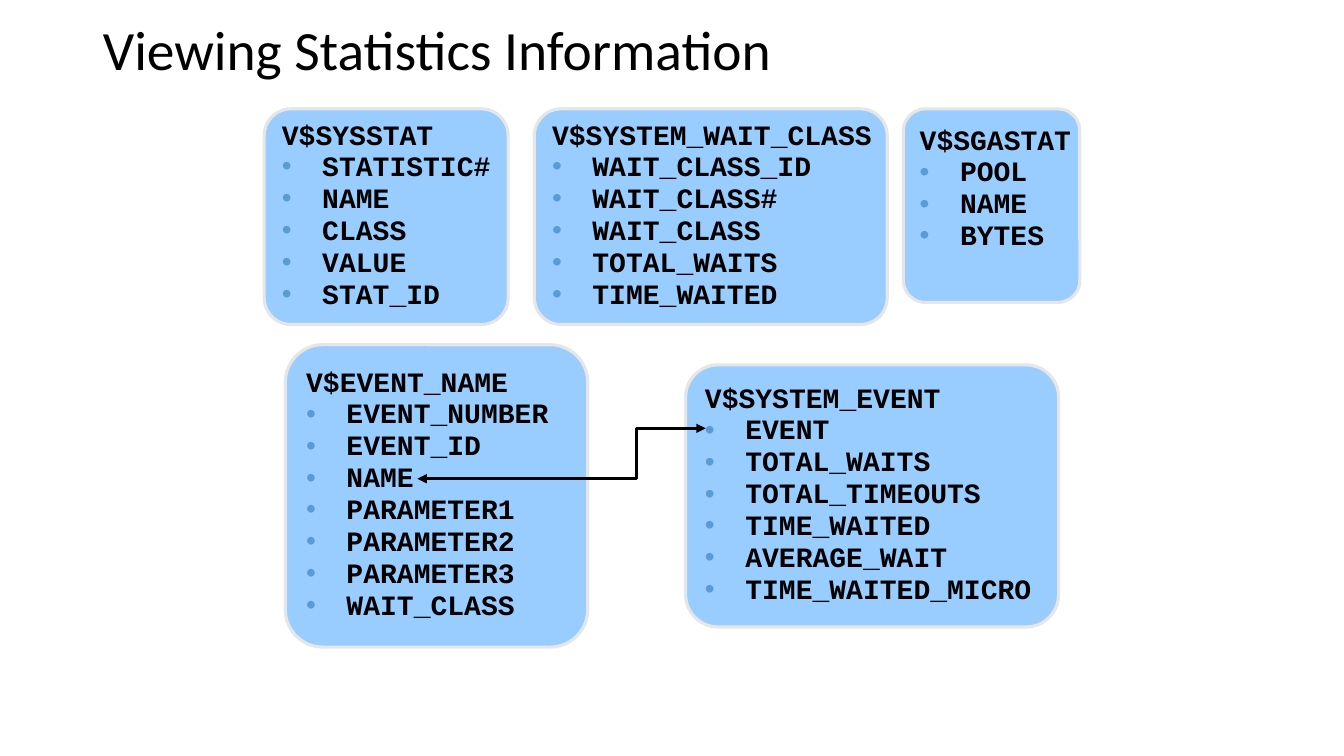
from lxml.etree import SubElement
from pptx import Presentation
from pptx.dml.color import RGBColor
from pptx.enum.shapes import MSO_SHAPE
from pptx.enum.text import MSO_ANCHOR, PP_ALIGN
from pptx.oxml.ns import qn
from pptx.util import Inches, Pt

BLACK = RGBColor(0x00, 0x00, 0x00)
SKY = RGBColor(0x99, 0xCC, 0xFF)
EDGE = RGBColor(0xE7, 0xE6, 0xE6)
DOT = RGBColor(0x5B, 0x9B, 0xD5)

CELL = Inches(0.1)
INDENT = 4

STATS = (26.2, 10.8, 24.2, 21.4)
WAITS = (53, 10.8, 35, 21.4)
SGA = (89.6, 10.8, 17.5, 19.2)
NAMES = (28.3, 34.2, 30, 30)
EVENTS = (68, 36.2, 37, 26)

VIEWS = [
    (SGA, 3.1, "V$SGASTAT", ["POOL", "NAME", "BYTES"]),
    (STATS, 0, "V$SYSSTAT",
     ["STATISTIC#", "NAME", "CLASS", "VALUE", "STAT_ID"]),
    (EVENTS, 0, "V$SYSTEM_EVENT",
     ["EVENT", "TOTAL_WAITS", "TOTAL_TIMEOUTS", "TIME_WAITED",
      "AVERAGE_WAIT", "TIME_WAITED_MICRO"]),
    (NAMES, 0, "V$EVENT_NAME",
     ["EVENT_NUMBER", "EVENT_ID", "NAME", "PARAMETER1", "PARAMETER2",
      "PARAMETER3", "WAIT_CLASS"]),
    (WAITS, 0, "V$SYSTEM_WAIT_CLASS",
     ["WAIT_CLASS_ID", "WAIT_CLASS#", "WAIT_CLASS", "TOTAL_WAITS",
      "TIME_WAITED"]),
]


def cells(*spans):
    return [round(span * CELL) for span in spans]


def style(font, name, size, bold):
    font.name = name
    font.size = Pt(size)
    font.bold = bold
    font.color.rgb = BLACK


def add_dot(para):
    props = para._p.get_or_add_pPr()
    indent, = cells(INDENT)
    props.set("marL", str(indent))
    props.set("indent", str(-indent))
    color = SubElement(props, qn("a:buClr"))
    SubElement(color, qn("a:srgbClr"), val=str(DOT))
    SubElement(props, qn("a:buFont"), typeface="Arial")
    SubElement(props, qn("a:buChar"), char="•")


def add_title(slide, box, text):
    title = slide.shapes.title
    title.left, title.top, title.width, title.height = cells(*box)
    frame = title.text_frame
    frame.vertical_anchor = MSO_ANCHOR.MIDDLE
    para = frame.paragraphs[0]
    para.alignment = PP_ALIGN.LEFT
    para.line_spacing = 0.9
    run = para.add_run()
    run.text = text
    style(run.font, "Calibri", 39.6, False)


def add_view(slide, box, below, name, fields):
    card = slide.shapes.add_shape(MSO_SHAPE.ROUNDED_RECTANGLE, *cells(*box))
    card.adjustments[0] = 0.124
    card.shadow.inherit = False
    card.fill.solid()
    card.fill.fore_color.rgb = SKY
    card.line.color.rgb = EDGE
    card.line.width = Pt(2.25)
    frame = card.text_frame
    frame.word_wrap = False
    frame.vertical_anchor = MSO_ANCHOR.MIDDLE
    frame.margin_bottom, = cells(0.5 + below)
    for row, text in enumerate([name] + fields):
        para = frame.add_paragraph() if row else frame.paragraphs[0]
        para.alignment = PP_ALIGN.LEFT
        para.line_spacing = 0.95 if row else 0.85
        if row:
            add_dot(para)
        run = para.add_run()
        run.text = text
        style(run.font, "Courier New", 20, True)


def add_link(slide, source, target):
    start = source[0] + 13.1, source[1] + 13.3
    end = target[0] + 2, target[1] + 6.3
    mid = (source[0] + source[2] + target[0]) / 2
    path = slide.shapes.build_freeform(*cells(*start))
    turns = [(mid, start[1]), (mid, end[1]), end]
    path.add_line_segments([cells(*turn) for turn in turns], close=False)
    link = path.convert_to_shape()
    link.shadow.inherit = False
    link.fill.background()
    link.line.color.rgb = BLACK
    link.line.width = Pt(2.25)
    line = link.line._get_or_add_ln()
    for tip in ("a:headEnd", "a:tailEnd"):
        SubElement(line, qn(tip), type="triangle")


def main():
    deck = Presentation()
    deck.slide_width, deck.slide_height = Inches(13.33), Inches(7.5)
    slide = deck.slides.add_slide(deck.slide_layouts[5])
    add_title(slide, (9.2, 2, 115, 6.5), "Viewing Statistics Information")
    for view in VIEWS:
        add_view(slide, *view)
    add_link(slide, NAMES, EVENTS)
    deck.save("out.pptx")


if __name__ == "__main__":
    main()
